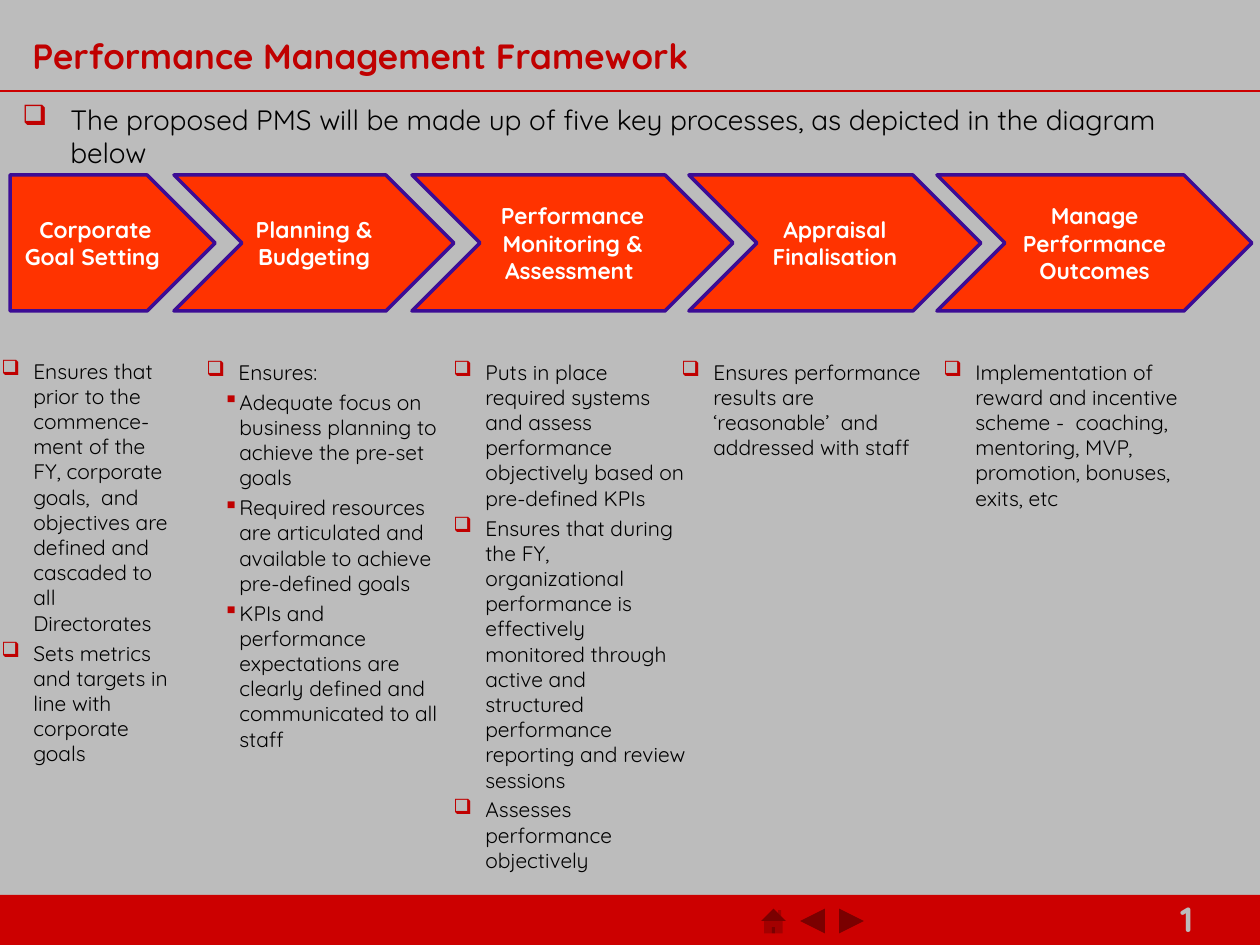
import pptx
import pptx.dml.color
import pptx.enum.shapes
import pptx.enum.text
import pptx.oxml.ns
import pptx.util
from lxml import etree

EMU_PER_PX = 914400 / 126
FONT = "Quicksand"
COLORS = {
    "background": "BCBCBC",
    "footer": "CC0000",
    "accent": "C00000",
    "arrow": "FF3300",
    "outline": "3C0C95",
    "text": "000000",
    "white": "FFFFFF",
}
SHAPES = pptx.enum.shapes.MSO_SHAPE
ANCHOR = pptx.enum.text.MSO_ANCHOR
ALIGN = pptx.enum.text.PP_ALIGN

ARROW_TOP, ARROW_HEIGHT = 175, 136
STAGES = [  # left, width, label
    (10, 205, "Corporate Goal Setting "),
    (174, 280, "Planning & Budgeting"),
    (412, 321, "Performance Monitoring & Assessment "),
    (689, 292, "Appraisal Finalisation"),
    (937, 315, "Manage Performance Outcomes"),
]

BOX, SQUARE = "❑", "▪"
BULLETS = {BOX: (32, 32), SQUARE: (33, 16)}  # text indent, hanging
COLUMNS = [  # left, top, width, height, items
    (-11, 352, 202, 425, [
        (BOX, "Ensures that prior to the commence-ment of the FY, corporate goals,  and "
              "objectives are defined and cascaded to all Directorates"),
        (BOX, "Sets metrics and targets in line with corporate goals"),
    ]),
    (194, 353, 258, 461, [
        (BOX, "Ensures:"),
        (SQUARE, "Adequate focus on  business planning to achieve the pre-set goals"),
        (SQUARE, "Required resources are articulated and available to achieve "
                 "pre-defined goals"),
        (SQUARE, "KPIs and performance expectations are clearly defined and "
                 "communicated to all staff"),
    ]),
    (441, 353, 258, 581, [
        (BOX, "Puts in place required systems and assess performance objectively "
              "based on pre-defined KPIs"),
        (BOX, "Ensures that during the FY, organizational performance is effectively  "
              "monitored through active and structured performance reporting and "
              "review sessions"),
        (BOX, "Assesses performance objectively"),
    ]),
    (669, 353, 272, 165, [
        (BOX, "Ensures performance results are ‘reasonable’  and  addressed with staff"),
    ]),
    (931, 353, 282, 165, [
        (BOX, "Implementation of reward and incentive scheme -  coaching, mentoring, "
              "MVP, promotion, bonuses, exits, etc"),
    ]),
]


def px(length):
    return pptx.util.Emu(round(length * EMU_PER_PX))


def rgb(name):
    return pptx.dml.color.RGBColor.from_string(COLORS[name])


def apply_format(target, values):
    for attribute, value in values.items():
        setattr(target, attribute, value)


def add_run(paragraph, text, size, color, bold=False):
    run = paragraph.add_run()
    run.text = text
    apply_format(run.font, {"name": FONT, "size": pptx.util.Pt(size), "bold": bold})
    run.font.color.rgb = rgb(color)


def set_bullet(paragraph, character, indent, hanging):
    properties = paragraph._p.get_or_add_pPr()
    properties.set("marL", str(px(indent)))
    properties.set("indent", str(-px(hanging)))
    qn = pptx.oxml.ns.qn
    bullet_color = etree.SubElement(properties, qn("a:buClr"))
    etree.SubElement(bullet_color, qn("a:srgbClr"), val=COLORS["accent"])
    etree.SubElement(properties, qn("a:buChar"), char=character)


def add_text_frame(slide, bounds, anchor=ANCHOR.TOP):
    frame = slide.shapes.add_textbox(*map(px, bounds)).text_frame
    apply_format(frame, {"word_wrap": True, "vertical_anchor": anchor})
    return frame


def add_preset(slide, kind, bounds, fill, outline=None):
    shape = slide.shapes.add_shape(kind, *map(px, bounds))
    shape.shadow.inherit = False
    shape.fill.solid()
    shape.fill.fore_color.rgb = rgb(fill)
    if outline:
        shape.line.color.rgb = rgb(outline)
        shape.line.width = pptx.util.Pt(2)
    else:
        shape.line.fill.background()
    return shape


def add_rule(slide, y, width):
    line = slide.shapes.add_connector(
        pptx.enum.shapes.MSO_CONNECTOR.STRAIGHT, px(0), px(y), px(width), px(y))
    line.line.color.rgb = rgb("footer")
    line.line.width = pptx.util.Pt(0.75)
    etree.SubElement(line._element.spPr, pptx.oxml.ns.qn("a:effectLst"))


def add_footer(slide):
    add_preset(slide, SHAPES.RECTANGLE, (0, 895, 1260, 50), "footer")
    buttons = [SHAPES.ACTION_BUTTON_HOME, SHAPES.ACTION_BUTTON_BACK_OR_PREVIOUS,
               SHAPES.ACTION_BUTTON_FORWARD_OR_NEXT]
    for index, kind in enumerate(buttons):
        add_preset(slide, kind, (757 + 39 * index, 900, 33, 42), "footer")
    number = add_text_frame(slide, (1168, 891, 92, 54))
    add_run(number.paragraphs[0], "1", 20, "background", bold=True)


def add_heading(slide):
    title = add_text_frame(slide, (20, 26, 958, 66), ANCHOR.MIDDLE).paragraphs[0]
    title.line_spacing = 0.85
    add_run(title, "Performance Management Framework", 20, "accent", bold=True)
    add_rule(slide, 91, 1260)
    intro = add_text_frame(slide, (10, 96, 1237, 751)).paragraphs[0]
    set_bullet(intro, BOX, 48, 48)
    add_run(intro, "The proposed PMS will be made up of five key processes, "
                   "as depicted in the diagram below", 16, "text")


def add_stage(slide, kind, left, width, label):
    bounds = (left, ARROW_TOP, width, ARROW_HEIGHT)
    frame = add_preset(slide, kind, bounds, "arrow", "outline").text_frame
    apply_format(frame, {"word_wrap": True, "vertical_anchor": ANCHOR.MIDDLE})
    paragraph = frame.paragraphs[0]
    paragraph.alignment = ALIGN.CENTER
    add_run(paragraph, label, 13, "white", bold=True)


def add_column(slide, left, top, width, height, items):
    frame = add_text_frame(slide, (left, top, width, height))
    for index, (character, text) in enumerate(items):
        paragraph = frame.add_paragraph() if index else frame.paragraphs[0]
        paragraph.space_before = pptx.util.Pt(2.7 if index else 0)
        set_bullet(paragraph, character, *BULLETS[character])
        add_run(paragraph, text, 12, "text")


def main():
    presentation = pptx.Presentation()
    apply_format(presentation, {"slide_width": px(1260), "slide_height": px(945)})
    slide = presentation.slides.add_slide(presentation.slide_layouts[6])
    slide.background.fill.solid()
    slide.background.fill.fore_color.rgb = rgb("background")

    add_footer(slide)
    add_heading(slide)
    for index, stage in enumerate(STAGES):
        add_stage(slide, SHAPES.CHEVRON if index else SHAPES.PENTAGON, *stage)
    for column in COLUMNS:
        add_column(slide, *column)
    presentation.save("out.pptx")


if __name__ == "__main__":
    main()
